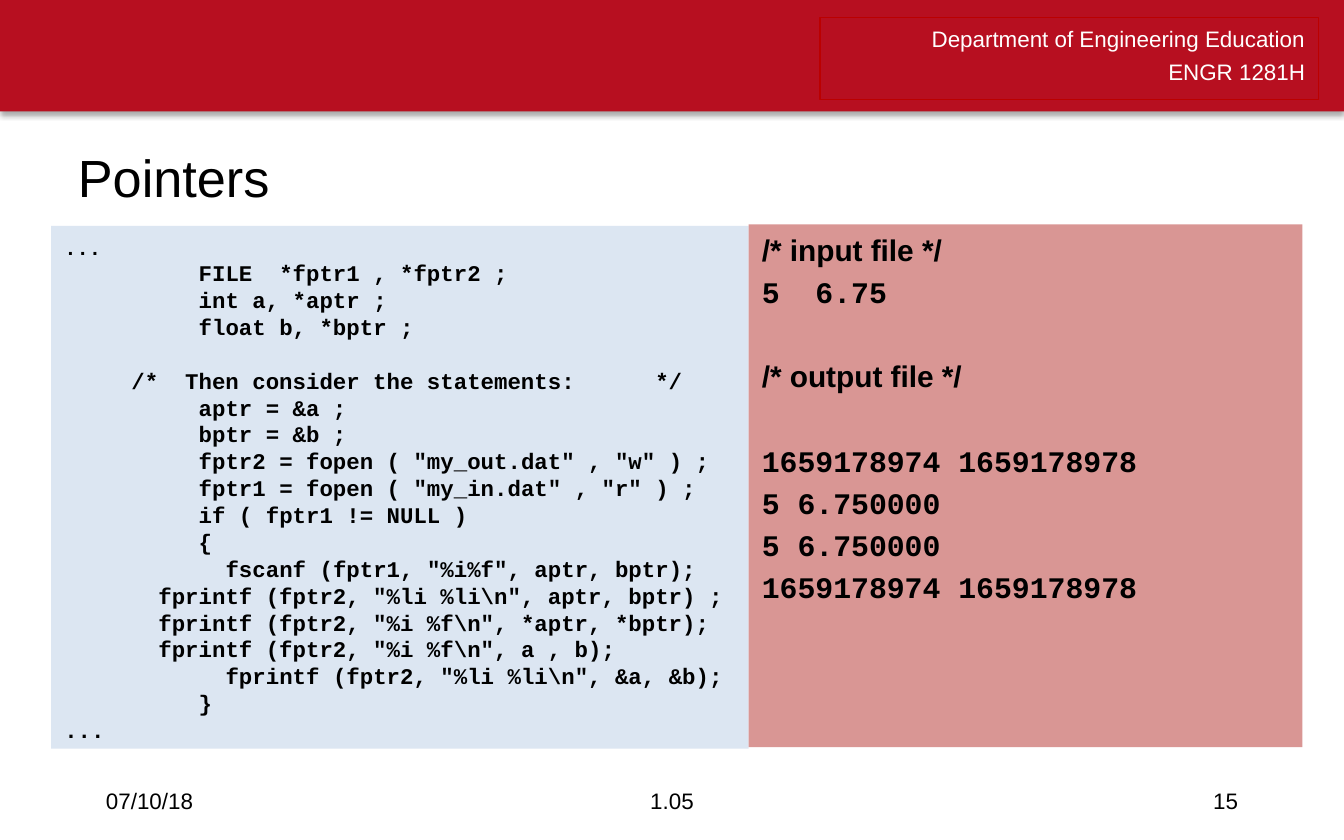
"""Builds the course slide on pointers: code on the left, file contents on the right."""
from dataclasses import dataclass

from lxml import etree
from pptx import Presentation
from pptx.dml.color import RGBColor
from pptx.enum import shapes, text
from pptx.oxml import ns
from pptx.util import Inches, Pt


@dataclass(frozen=True)
class Theme:
    """Colours, fonts and type sizes of the slide."""
    banner: str = "B70F20"
    banner_edge: str = "BB0000"
    code_panel: str = "DCE6F2"
    files_panel: str = "D99694"
    ink: str = "000000"
    light: str = "FFFFFF"
    sans: str = "Arial"
    mono: str = "Courier New"
    title: float = 28
    files: float = 16
    body: float = 12
    ellipsis: float = 11


class Deck:
    """Holds the theme and the current slide, and draws each kind of element."""

    def __init__(self, theme, width, height):
        """Start a presentation with one title-only slide."""
        self.theme = theme
        self.show = Presentation()
        self.show.slide_width, self.show.slide_height = Inches(width), Inches(height)
        self.slide = self.show.slides.add_slide(self.show.slide_layouts[5])

    def style(self, paragraph, size, font=None, color=None, bold=False):
        """Format every run of a paragraph."""
        for run in paragraph.runs:
            run.font.size = Pt(size)
            run.font.name = font or self.theme.sans
            run.font.bold = bold
            run.font.color.rgb = RGBColor.from_string(color or self.theme.ink)

    def panel(self, box, fill=None, edge=None):
        """Draw a rectangle ready for top-aligned text."""
        panel = self.slide.shapes.add_shape(
            shapes.MSO_SHAPE.RECTANGLE, *map(Inches, box))
        panel.shadow.inherit = False
        if fill:
            panel.fill.solid()
            panel.fill.fore_color.rgb = RGBColor.from_string(fill)
        else:
            panel.fill.background()
        if edge:
            panel.line.color.rgb = RGBColor.from_string(edge)
            panel.line.width = Pt(0.75)
        else:
            panel.line.fill.background()
        panel.text_frame.word_wrap = True
        panel.text_frame.vertical_anchor = text.MSO_ANCHOR.TOP
        return panel

    def drop_shadow(self, panel):
        """Give a panel a soft shadow straight below it."""
        effects = panel._element.spPr.find(ns.qn("a:effectLst"))
        shadow = etree.SubElement(
            effects, ns.qn("a:outerShdw"), blurRad=str(Pt(3.1)), dist=str(Pt(1.8)),
            dir="5400000", algn="t", rotWithShape="0")
        tint = etree.SubElement(shadow, ns.qn("a:srgbClr"), val=self.theme.ink)
        etree.SubElement(tint, ns.qn("a:alpha"), val="35000")

    def lines(self, panel, wording, pitch, align=text.PP_ALIGN.LEFT):
        """Fill a panel with one paragraph per line and return the paragraphs."""
        frame = panel.text_frame
        frame.text = "\n".join(wording)
        for paragraph in frame.paragraphs:
            paragraph.alignment = align
            paragraph.line_spacing = Pt(pitch)
        return frame.paragraphs

    def title(self, wording, box):
        """Place and format the title placeholder."""
        title = self.slide.shapes.title
        title.left, title.top, title.width, title.height = map(Inches, box)
        title.text_frame.text = wording
        title.text_frame.vertical_anchor = text.MSO_ANCHOR.MIDDLE
        title.text_frame.paragraphs[0].alignment = text.PP_ALIGN.LEFT
        self.style(title.text_frame.paragraphs[0], self.theme.title)

    def footer(self, wording, left, width, align):
        """Add one footer entry."""
        entry = self.slide.shapes.add_textbox(
            *map(Inches, (left, 5.79, width, 0.33))).text_frame
        entry.word_wrap = True
        entry.vertical_anchor = text.MSO_ANCHOR.MIDDLE
        entry.text = wording
        entry.paragraphs[0].alignment = align
        self.style(entry.paragraphs[0], self.theme.body)


# Indent in inches, then the line of code.
CODE = [
    (0, "..."),
    (1, "FILE  *fptr1 , *fptr2 ;"),
    (1, "int a, *aptr ;"),
    (1, "float b, *bptr ;"),
    (0.5, "/*  Then consider the statements:      */"),
    (1, "aptr = &a ;"),
    (1, "bptr = &b ;"),
    (1, 'fptr2 = fopen ( "my_out.dat" , "w" ) ;'),
    (1, 'fptr1 = fopen ( "my_in.dat" , "r" ) ;'),
    (1, "if ( fptr1 != NULL )"),
    (1, "{"),
    (1.2, 'fscanf (fptr1, "%i%f", aptr, bptr);'),
    (0.7, 'fprintf (fptr2, "%li %li\\n", aptr, bptr) ;'),
    (0.7, 'fprintf (fptr2, "%i %f\\n", *aptr, *bptr);'),
    (0.7, 'fprintf (fptr2, "%i %f\\n", a , b);'),
    (1.2, 'fprintf (fptr2, "%li %li\\n", &a, &b);'),
    (1, "}"),
    (0, "..."),
]
ADDRESSES, VALUES = "1659178974 1659178978", "5 6.750000"
FILES = ["/* input file */", "5  6.75", "/* output file */",
         ADDRESSES, VALUES, VALUES, ADDRESSES]
CODE_PITCH, FILES_PITCH, FILES_GAP = 14.4, 19.4, 3.2


def add_header(deck):
    """Draw the banner with the department and the course."""
    theme = deck.theme
    deck.drop_shadow(deck.panel((0, 0, 10, 0.83), theme.banner))
    course = deck.panel((6.1, 0.13, 3.71, 0.61), edge=theme.banner_edge)
    wording = ["Department of Engineering Education", "ENGR 1281H"]
    for paragraph in deck.lines(course, wording, 14.7, text.PP_ALIGN.RIGHT):
        paragraph.space_after = Pt(3)
        deck.style(paragraph, theme.body, color=theme.light)


def add_code(deck):
    """Draw the panel with the program."""
    theme = deck.theme
    program = deck.panel((0.38, 1.68, 5.19, 3.89), theme.code_panel)
    paragraphs = deck.lines(program, [line for _, line in CODE], CODE_PITCH)
    for paragraph, (indent, line) in zip(paragraphs, CODE):
        paragraph._p.get_or_add_pPr().set("marL", str(Inches(indent)))
        if line.startswith("/*"):
            paragraph.space_before = Pt(CODE_PITCH)
        deck.style(paragraph, theme.body, theme.mono, bold=True)
    deck.style(paragraphs[0], theme.ellipsis, theme.mono, bold=True)


def add_files(deck):
    """Draw the panel with the input and output files."""
    theme = deck.theme
    contents = deck.panel((5.57, 1.67, 4.12, 3.89), theme.files_panel)
    skipped_line = FILES_PITCH + FILES_GAP
    for row, paragraph in enumerate(deck.lines(contents, FILES, FILES_PITCH)):
        heading = FILES[row].startswith("/*")
        after_gap = row > 0 and (heading or FILES[row - 1] == "/* output file */")
        paragraph.space_before = Pt(FILES_GAP + skipped_line * after_gap)
        deck.style(paragraph, theme.files, theme.sans if heading else theme.mono, bold=True)


def main():
    """Build and save the slide."""
    deck = Deck(Theme(), 10, 6.25)
    add_header(deck)
    add_code(deck)
    add_files(deck)
    deck.title("Pointers", (0.48, 0.96, 9.07, 0.71))
    deck.footer("07/10/18", 0.69, 2.25, text.PP_ALIGN.LEFT)
    deck.footer("1.05", 3.31, 3.38, text.PP_ALIGN.CENTER)
    deck.footer("15", 7.06, 2.25, text.PP_ALIGN.RIGHT)
    deck.show.save("out.pptx")


main()
